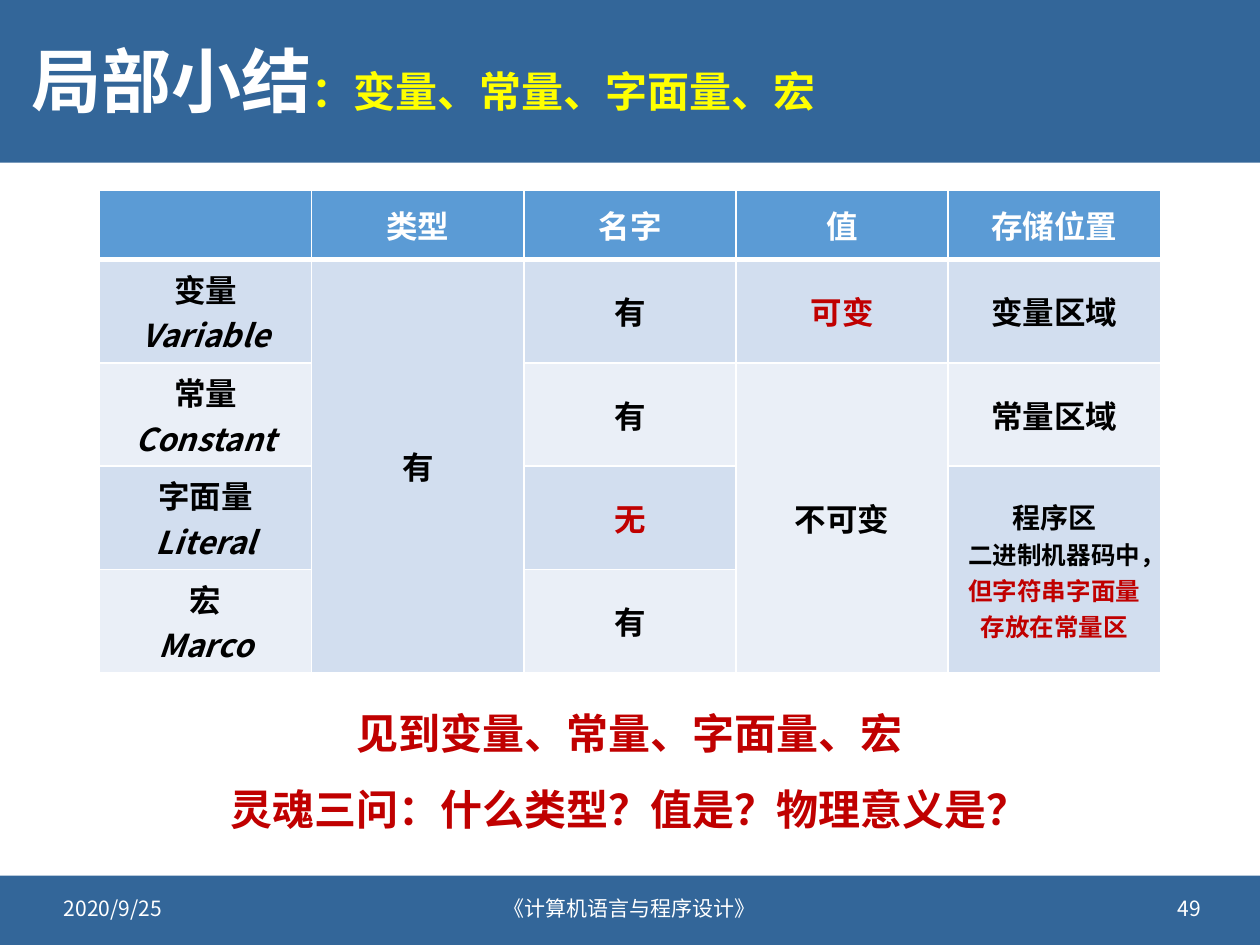
import pptx
import pptx.util
import pptx.dml.color
import pptx.enum.shapes
import pptx.enum.text
import pptx.oxml.ns
from lxml import etree

Inches = pptx.util.Inches
Pt = pptx.util.Pt
Align = pptx.enum.text.PP_ALIGN
Anchor = pptx.enum.text.MSO_ANCHOR
Fit = pptx.enum.text.MSO_AUTO_SIZE
qn = pptx.oxml.ns.qn

FONT = "Noto Sans CJK SC"
COLORS = {
    "navy": "336699", "white": "FFFFFF", "yellow": "FFFF00",
    "red": "C00000", "black": "000000",
    "head": "5B9BD5", "dark": "D2DEEF", "light": "EAEFF7",
}


def rgb(name):
    return pptx.dml.color.RGBColor.from_string(COLORS[name])


def run(text, size=18, color="black", bold=True, italic=False):
    """Describe one run of text."""
    return text, size, color, bold, italic


class Deck:
    def __init__(self):
        self.prs = pptx.Presentation()
        self.prs.slide_width = Inches(10)
        self.prs.slide_height = Inches(7.5)
        self.slide = self.prs.slides.add_slide(self.prs.slide_layouts[5])

    def fill_text(self, frame, paras, align=Align.CENTER, space=None):
        """Fill a frame with paragraphs, each a list of runs."""
        frame.text = "\n".join(runs[0][0] for runs in paras)
        for para, runs in zip(frame.paragraphs, paras):
            para.alignment = align
            if space:
                para.line_spacing = space
            for text, *_ in runs[1:]:
                para.add_run().text = text
            for item, (_, size, color, bold, italic) in zip(para.runs, runs):
                font = item.font
                font.name, font.size = FONT, Pt(size)
                font.bold, font.italic = bold, italic
                font.color.rgb = rgb(color)
                latin = font._element.find(qn("a:latin"))
                latin.addnext(latin.makeelement(qn("a:ea"), {"typeface": FONT}))

    def band(self, top, height):
        shape = self.slide.shapes.add_shape(
            pptx.enum.shapes.MSO_SHAPE.RECTANGLE,
            0, Inches(top), Inches(10), Inches(height))
        shape.shadow.inherit = False
        shape.fill.solid()
        shape.fill.fore_color.rgb = rgb("navy")
        shape.line.fill.background()

    def title(self, box, runs):
        shape = self.slide.shapes.title
        shape.left, shape.top, shape.width, shape.height = map(Inches, box)
        frame = shape.text_frame
        frame.auto_size = Fit.NONE
        frame.vertical_anchor = Anchor.MIDDLE
        self.fill_text(frame, [runs], Align.LEFT, 0.9)
        # Keep the title in front of the bands.
        self.slide.shapes._spTree.append(shape._element)

    def label(self, box, paras, align=Align.CENTER, space=None,
              wrap=True, anchor=Anchor.MIDDLE):
        frame = self.slide.shapes.add_textbox(*map(Inches, box)).text_frame
        frame.word_wrap = wrap
        frame.vertical_anchor = anchor
        self.fill_text(frame, paras, align, space)

    def edge(self, cell, bottom):
        """Give a cell white borders, the bottom one in its own width."""
        props = cell._tc.get_or_add_tcPr()
        for spot, (tag, width) in enumerate(
                [("lnL", 1), ("lnR", 1), ("lnT", 1), ("lnB", bottom)]):
            line = etree.Element(qn("a:" + tag), w=str(Pt(width)))
            fill = etree.SubElement(line, qn("a:solidFill"))
            etree.SubElement(fill, qn("a:srgbClr"), val=COLORS["white"])
            props.insert(spot, line)

    def table(self, box, heights, rows, spans):
        grid = self.slide.shapes.add_table(
            len(rows), len(rows[0]), *map(Inches, box)).table
        for row, height in zip(grid.rows, heights):
            row.height = Inches(height)
        for r, row in enumerate(rows):
            fill = "head" if r == 0 else ("light", "dark")[r % 2]
            for c, paras in enumerate(row):
                cell = grid.cell(r, c)
                cell.fill.solid()
                cell.fill.fore_color.rgb = rgb(fill)
                cell.vertical_anchor = Anchor.MIDDLE
                self.edge(cell, 3 if r == 0 else 1)
                if paras:
                    self.fill_text(cell.text_frame, paras)
        for top, last, col in spans:
            grid.cell(top, col).merge(grid.cell(last, col))


def term(name, english):
    return [[run(name)], [run(english, italic=True)]]


def word(text, color="black"):
    return [[run(text, color=color)]]


def main():
    deck = Deck()
    deck.band(0, 1.29)
    deck.band(6.95, 0.55)
    deck.title((0.15, 0.18, 9.85, 0.99), [
        run("局部小结", 40, "white"),
        run("：变量、常量、字面量、宏", 24, "yellow")])

    footer = [
        (0.41, 2.4, "2020/9/25", Align.LEFT),
        (3.2, 3.6, "《计算机语言与程序设计》", Align.CENTER),
        (7.23, 2.4, "49", Align.RIGHT),
    ]
    for left, width, text, align in footer:
        deck.label((left, 7.01, width, 0.4),
                   [[run(text, 12, "white", bold=False)]], align)

    place = [[run("程序区", 16)],
             [run("二进制机器码中，", 14),
              run("但字符串字面量存放在常量区", 14, "red")]]
    heads = ["类型", "名字", "值", "存储位置"]
    rows = [
        [None] + [word(text, "white") for text in heads],
        [term("变量", "Variable"), word("有"), word("有"),
         word("可变", "red"), word("变量区域")],
        [term("常量", "Constant"), None, word("有"),
         word("不可变"), word("常量区域")],
        [term("字面量", "Literal"), None, word("无", "red"), None, place],
        [term("宏", "Marco"), None, word("有"), None, None],
    ]
    deck.table((0.79, 1.51, 8.42, 3.85), [0.55] + [0.82] * 4, rows,
               spans=[(1, 4, 1), (2, 4, 3), (3, 4, 4)])

    lines = ["见到变量、常量、字面量、宏",
             "灵魂三问：什么类型？值是？物理意义是？"]
    deck.label((1.7, 5.37, 6.6, 1.24),
               [[run(text, 24, "red")] for text in lines],
               space=1.5, wrap=False, anchor=Anchor.TOP)
    deck.prs.save("out.pptx")


if __name__ == "__main__":
    main()
